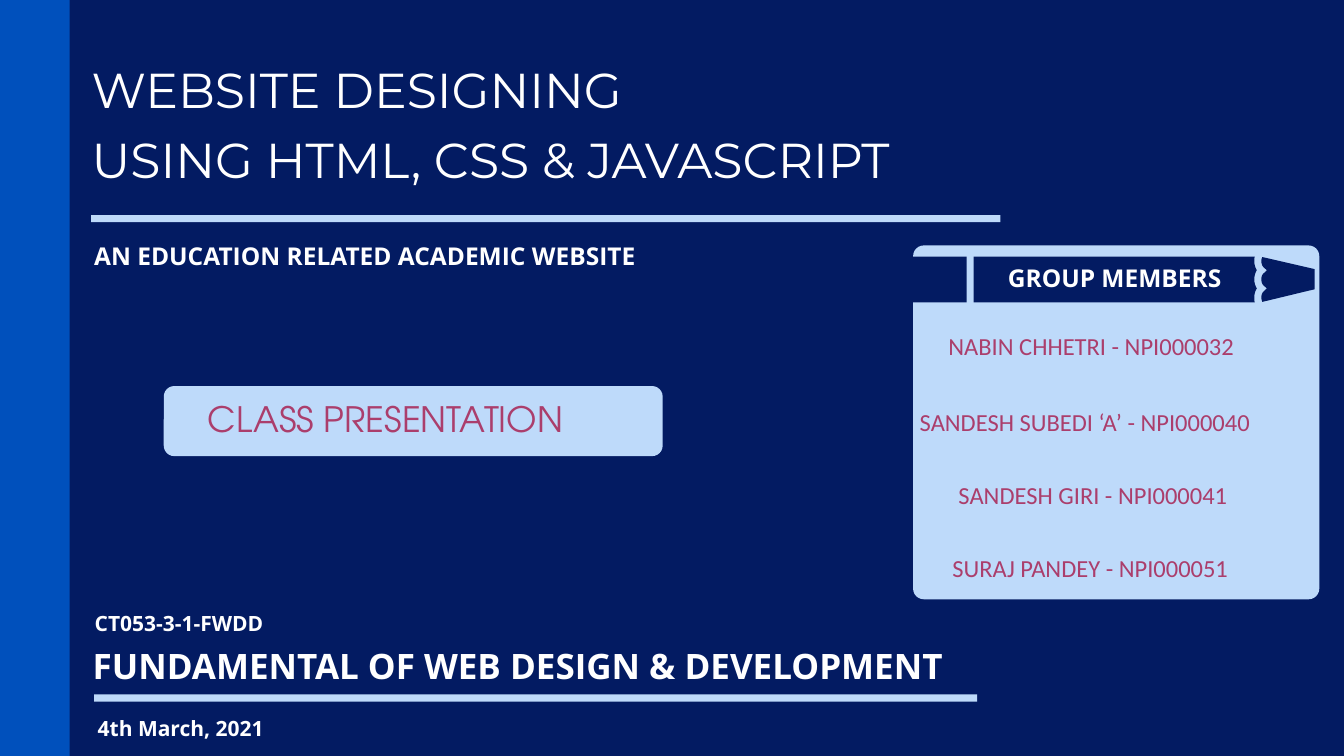
from pptx import Presentation
from pptx import util as u
from pptx.dml.color import RGBColor
from pptx.enum import shapes, text

PX = u.Inches(0.01)
COLORS = {"navy": "031B62", "blue": "0050BC", "sky": "BEDAFA", "berry": "AB3E6C", "white": "FFFFFF"}
MEMBERS = [
    ("NABIN CHHETRI - NPI000032", 64, 166, 679),
    ("SANDESH SUBEDI ‘A’ - NPI000040", 7, 318, 791),
    ("SANDESH GIRI - NPI000041", 84, 462, 638),
    ("SURAJ PANDEY - NPI000051", 72, 607, 662),
]
PENCIL = [
    [(0, 69), (0, 81, 10, 91, 23, 91), (62, 91), (62, 0), (23, 0), (10, 0, 0, 10, 0, 22)],
    [(76, 91), (183, 91), (183, 0), (76, 0)],
    [(197, 91), (755, 91), (754, 88, 754, 85, 754, 81), (754, 75, 756, 68, 759, 63),
     (756, 58, 754, 52, 754, 45), (754, 39, 756, 32, 759, 27),
     (756, 22, 754, 16, 754, 9), (754, 6, 754, 3, 755, 0), (197, 0)],
    [(768, 81), (768, 85, 769, 87, 770, 90), (861, 68), (874, 65), (874, 25), (861, 22),
     (770, 1), (769, 3, 768, 6, 768, 9), (768, 14, 770, 19, 773, 22), (779, 27),
     (773, 33), (770, 35, 768, 40, 768, 45), (768, 51, 770, 55, 773, 58), (779, 63),
     (773, 69), (770, 71, 768, 76, 768, 81)],
    [(889, 62), (960, 45), (889, 29)],
]


def paint(shape, color):
    """Give a shape a flat fill without line or shadow."""
    shape.shadow.inherit = False
    shape.fill.solid()
    shape.fill.fore_color.rgb = RGBColor.from_string(COLORS[color])
    shape.line.fill.background()


def block(slide, box, color, radius=None):
    """Add a plain or rounded rectangle."""
    preset = shapes.MSO_SHAPE.RECTANGLE if radius is None else shapes.MSO_SHAPE.ROUNDED_RECTANGLE
    shape = slide.shapes.add_shape(preset, *(PX * side for side in box))
    if radius is not None:
        shape.adjustments[0] = radius
    paint(shape, color)


def label(slide, box, lines, size, font="Open Sans", color="white", bold=False, spacing=0.9):
    """Add unwrapped, left-aligned lines of text in one style."""
    frame = slide.shapes.add_textbox(*(PX * side for side in box)).text_frame
    frame.word_wrap = False
    frame.auto_size = text.MSO_AUTO_SIZE.SHAPE_TO_FIT_TEXT
    frame.vertical_anchor = text.MSO_ANCHOR.MIDDLE
    frame.margin_left = frame.margin_right = frame.margin_top = frame.margin_bottom = PX * 6
    for index, line in enumerate(lines):
        paragraph = frame.paragraphs[0] if index == 0 else frame.add_paragraph()
        paragraph.text = line
        paragraph.alignment = text.PP_ALIGN.LEFT
        paragraph.line_spacing = spacing
        paragraph.font.size = u.Pt(size)
        paragraph.font.name = font
        paragraph.font.bold = bold
        paragraph.font.color.rgb = RGBColor.from_string(COLORS[color])


def trace(contour, steps=8):
    """Turn corners and cubic curves into a list of points."""
    points = []
    for part in contour:
        if len(part) == 2:
            points.append(part)
            continue
        (x0, y0), (x1, y1, x2, y2, x3, y3) = points[-1], part
        for step in range(1, steps + 1):
            t = step / steps
            a, b, c, d = (1 - t) ** 3, 3 * t * (1 - t) ** 2, 3 * t * t * (1 - t), t ** 3
            points.append((a * x0 + b * x1 + c * x2 + d * x3, a * y0 + b * y1 + c * y2 + d * y3))
    return points


def pencil(slide, left, top):
    """Draw the pencil banner from its top left corner."""
    outlines = [[(PX * (left + x), PX * (top + y)) for x, y in trace(part)] for part in PENCIL]
    builder = slide.shapes.build_freeform(*outlines[0][0])
    for index, points in enumerate(outlines):
        if index:
            builder.move_to(*points[0])
        builder.add_line_segments(points[1:], close=True)
    paint(builder.convert_to_shape(), "navy")


def footer(slide, left, top, width, height):
    """Place the module code, module name, rule and date."""
    block(slide, (left + 5, top + 169, width, 14), "sky")
    label(slide, (left - 4, top + 71, 1770, 93), ["FUNDAMENTAL OF WEB DESIGN & DEVELOPMENT"], 50, bold=True)
    label(slide, (left + 6, top + height - 61, 363, 60), ["4th March, 2021"], 30, bold=True)
    label(slide, (left, top, 416, 60), ["CT053-3-1-FWDD"], 30, bold=True)


def header(slide, left, top, width, height):
    """Place the title, rule and subtitle."""
    label(slide, (left - 5, top, width + 10, 314), ["WEBSITE DESIGNING", "USING HTML, CSS & JAVASCRIPT"],
          70, "Montserrat", spacing=1.2)
    block(slide, (left, top + 350, width, 14), "sky")
    label(slide, (left, top + height - 68, 1158, 68), ["AN EDUCATION RELATED ACADEMIC WEBSITE"], 35, bold=True)


def badge(slide, left, top, width, height):
    """Place the rounded presentation badge."""
    block(slide, (left, top, width, height), "sky", 0.15)
    label(slide, (left + 81, top + 19, 828, 101), ["CLASS PRESENTATION"], 50, "TeX Gyre Adventor", "berry")


def members_card(slide, left, top, width, height):
    """Place the group list under its pencil heading."""
    block(slide, (left, top, width, height), "sky", 0.03)
    for member, x, y, span in MEMBERS:
        label(slide, (left + x, top + y, span, 72), [member], 35, "Calibri", "berry")
    pencil(slide, left - 77, top + 22)
    label(slide, (left + 182, top + 34, 442, 68), ["GROUP MEMBERS"], 35, bold=True)


def main():
    """Build and save the title slide."""
    deck = Presentation()
    deck.slide_width, deck.slide_height = PX * 2667, PX * 1500
    slide = deck.slides.add_slide(deck.slide_layouts[6])
    slide.background.fill.solid()
    slide.background.fill.fore_color.rgb = RGBColor.from_string(COLORS["navy"])
    block(slide, (-1, -4, 139, 1509), "blue")
    footer(slide, 182, 1209, 1752, 270)
    header(slide, 181, 77, 1804, 468)
    badge(slide, 325, 766, 990, 139)
    members_card(slide, 1812, 487, 806, 702)
    deck.save("out.pptx")


if __name__ == "__main__":
    main()
